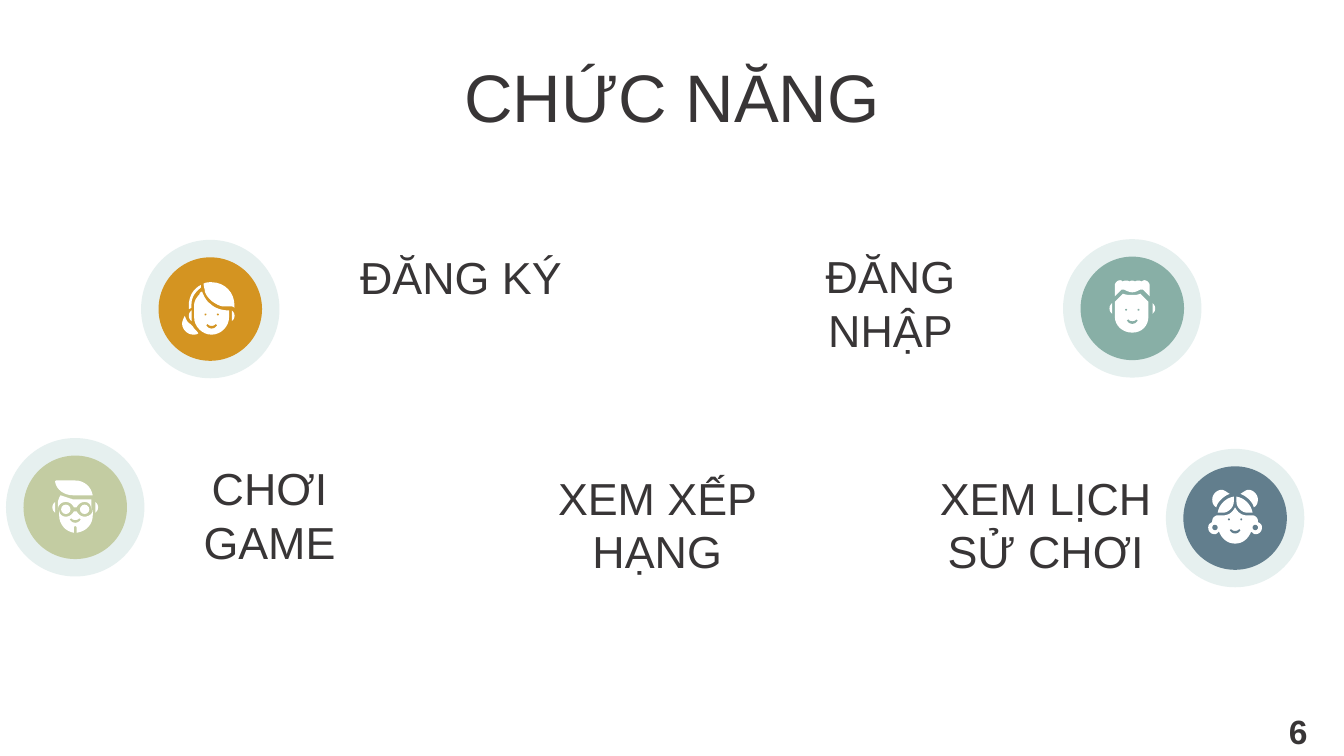
"""Build the slide of game functions with four round face icons."""
from pptx import Presentation
from pptx.dml.color import RGBColor
from pptx.enum.shapes import MSO_SHAPE as Preset
from pptx.enum.text import MSO_ANCHOR as Anchor, PP_ALIGN as Align
from pptx.util import Inches, Pt

INK = RGBColor(0x38, 0x35, 0x36)
WHITE = RGBColor(0xFF, 0xFF, 0xFF)
RING = RGBColor(0xE6, 0xF0, 0xEF)
ORANGE = RGBColor(0xD4, 0x94, 0x21)
GREEN = RGBColor(0x88, 0xAF, 0xA6)
OLIVE = RGBColor(0xC3, 0xCC, 0xA2)
BLUE = RGBColor(0x62, 0x7E, 0x8D)

RING_SIZE, DISC_SIZE = 103, 77
CURVE_STEPS = 8

TEXTS = [
    ("CHỨC NĂNG", (2.65, 0.31, 4.7, 0.69), 36, False),
    ("XEM LỊCH SỬ CHƠI", (6.76, 3.4, 2.04, 1.03), 24, False),
    ("ĐĂNG NHẬP", (5.63, 1.75, 1.99, 1.03), 24, False),
    ("ĐĂNG KÝ", (2.45, 1.76, 1.96, 1.03), 24, False),
    ("CHƠI GAME", (1.17, 3.33, 1.67, 1.17), 24, False),
    ("6", (9.36, 5.19, 0.6, 0.43), 18, True),
    ("XEM XẾP HẠNG", (3.87, 3.4, 2.04, 1.03), 24, False),
]


def mirror(path):
    return [tuple(-value if index % 2 == 0 else value for index, value in enumerate(step))
            for step in path]


def shift(path, right, down):
    return [tuple(value + (down if index % 2 else right) for index, value in enumerate(step))
            for step in path]


EAR = [(15, -4), (15, 4), (16, 3, 17, 2, 17, 0), (17, -2, 16, -3, 15, -4)]
EARS = [EAR, mirror(EAR)]
MOUTH = [(-4, 1), (-2, 4.3, 2, 4.3, 4, 1), (3, 0.2), (2, 2, -2, 2, -3, 0.2)]
BUN = [(10, -21), (8, -21, 6, -19, 4, -18), (9, -16, 13, -12, 14, -8),
       (16, -9, 17, -11, 17, -14), (17, -17, 14, -21, 10, -21)]
FRINGE = [(1, -16), (1, -12), (1, -8, 5, -4, 9, -4), (13, -4), (12, -10, 7, -15, 1, -16)]

WOMAN = [shift(ear, 1, 5) for ear in EARS] + [
    [(-19, 5), (-20, 7, -21, 9, -21, 11), (-21, 15, -17, 19, -13, 19),
     (-11, 19, -10, 19, -9, 18), (-10, 16, -12, 15, -13, 13), (-15, 11),
     (-17, 10, -18, 8, -19, 5)],
    [(-6, -13), (-7, -13, -8, -12, -8, -11), (-10, -9, -12, -6, -12, -3), (-12, 6),
     (-12, 13, -6, 19, 1, 19), (8, 19, 14, 13, 14, 6), (14, 1), (8, 1, 3, -1, 0, -4),
     (-3, -6, -5, -10, -6, -13)],
    [(1, -20), (-1, -20, -3, -20, -5, -19), (-5, -17, -4, -15, -4, -13),
     (-3, -10, -1, -8, 1, -6), (4, -4, 7, -2, 10, -2), (16, -2), (17, -2, 18, -1, 18, -1),
     (18, -3), (18, -12, 11, -20, 1, -20)],
    [(-7, -18), (-13, -15, -16, -9, -16, -3), (-16, 0), (-14, -1), (-14, -4),
     (-14, -9, -11, -13, -7, -16)],
]
MAN = EARS + [
    [(-13, -9), (-13, -17), (-13, -19, -11, -21, -9, -21), (-9, -21, -8, -21, -7, -20),
     (-6, -21, -3, -21, -2, -20), (-1, -21, 1, -21, 2, -20), (3, -21, 6, -21, 7, -20),
     (7, -20, 8, -21, 9, -21), (11, -21, 13, -19, 13, -17), (13, -9), (8, -14),
     (7, -14, 7, -14, 6, -14), (4, -13, 2, -12, 0, -12), (-2, -12, -4, -13, -6, -14),
     (-7, -14, -8, -14, -8, -14)],
    [(-7, -11), (-13, -5), (-13, 6), (-13, 13, -7, 18, 0, 18), (7, 18, 12, 13, 12, 6),
     (12, -5), (6, -11), (4, -10, 2, -10, 0, -10), (-2, -10, -5, -10, -7, -11)],
]
READER = EARS + [
    [(-14, -20), (-14, -20, -15, -20, -15, -19), (-14, -13, -8, -9, -2, -9), (13, -9),
     (12, -15, 7, -20, 0, -20)],
    [(-12, 2), (-12, 6), (-12, 13, -7, 18, -1, 19), (-1, 16), (-1, 15, -1, 14, 0, 14),
     (1, 14, 1, 15, 1, 16), (1, 19), (8, 18, 13, 13, 13, 6), (13, 2), (13, 5, 10, 7, 7, 7),
     (4, 7, 2, 5, 1, 3), (-1, 3), (-2, 5, -4, 7, -7, 7), (-10, 7, -12, 5, -12, 2)],
    [(-11, -9), (-12, -7, -13, -5, -13, -3), (-13, 2), (-13, -2, -10, -4, -7, -4),
     (-4, -4, -2, -2, -1, 0), (1, 0), (2, -2, 4, -4, 7, -4), (10, -4, 12, -2, 12, 2),
     (12, -6), (-2, -6), (-5, -7, -8, -8, -11, -9)],
]
GIRL = [BUN, mirror(BUN), FRINGE, mirror(FRINGE)] + [
    [(0, -8), (-2, -4, -5, -2, -9, -2), (-13, -2), (-15, -2, -17, 0, -17, 2), (-17, 3),
     (-19, 4, -20, 5, -20, 7), (-20, 10, -18, 12, -15, 12), (-14, 12, -13, 11, -12, 10),
     (-10, 15, -6, 19, 0, 19), (6, 19, 10, 15, 12, 10), (13, 11, 14, 12, 15, 12),
     (18, 12, 20, 10, 20, 7), (20, 5, 19, 4, 17, 3), (17, 2), (17, 0, 15, -2, 13, -2),
     (9, -2), (5, -2, 2, -4, 0, -8)],
]

EYES = [(-4.6, -7, 1.4, None), (4.6, -7, 1.4, None)]
EARRINGS = [(-15, -1, 4, None), (15, -1, 4, None)]
LENSES = [(-7, -6.5, 7, WHITE), (7, -6.5, 7, WHITE)]

ICONS = [
    ((156.5, 230), ORANGE, WOMAN, (1, 11), EYES),
    ((842.5, 229.5), GREEN, MAN, (0, 8), EYES),
    ((56, 377.5), OLIVE, READER, (0, 8), LENSES),
    ((919, 385.5), BLUE, GIRL, (0, 8), EYES + EARRINGS),
]


def paint(shape, color):
    shape.shadow.inherit = False
    shape.fill.solid()
    shape.fill.fore_color.rgb = color
    shape.line.fill.background()


def add_circle(page, center, size, color):
    left, top = (Inches((value - size / 2) / 100) for value in center)
    side = Inches(size / 100)
    paint(page.shapes.add_shape(Preset.OVAL, left, top, side, side), color)


def flatten(path):
    points = [path[0]]
    for step in path[1:]:
        if len(step) == 2:
            points.append(step)
            continue
        knots = [points[-1], step[:2], step[2:4], step[4:]]
        for index in range(1, CURVE_STEPS + 1):
            t = index / CURVE_STEPS
            weights = ((1 - t) ** 3, 3 * t * (1 - t) ** 2, 3 * t * t * (1 - t), t ** 3)
            points.append(tuple(sum(weight * knot[axis] for weight, knot in zip(weights, knots))
                                for axis in (0, 1)))
    return points


def add_outline(page, path, center, color):
    points = [(100 * x, 100 * y) for x, y in flatten(shift(path, *center))]
    builder = page.shapes.build_freeform(*points[0], scale=Inches(1) / 10000)
    builder.add_line_segments(points[1:], close=True)
    paint(builder.convert_to_shape(), color)


def add_icon(page, center, color, outlines, mouth, dots):
    add_circle(page, center, RING_SIZE, RING)
    add_circle(page, center, DISC_SIZE, color)
    for outline in outlines:
        add_outline(page, outline, center, WHITE)
    middle = (center[0] + mouth[0], center[1] + mouth[1])
    add_outline(page, MOUTH, middle, color)
    for right, down, size, dot_color in dots:
        add_circle(page, (middle[0] + right, middle[1] + down), size, dot_color or color)


def add_text(page, text, place, size, bold):
    frame = page.shapes.add_textbox(*map(Inches, place)).text_frame
    frame.word_wrap = True
    frame.vertical_anchor = Anchor.TOP
    frame.margin_left = frame.margin_right = Inches(0.1)
    frame.margin_top = frame.margin_bottom = Inches(0.1)
    para = frame.paragraphs[0]
    para.text = text
    para.alignment = Align.CENTER
    para.font.name, para.font.size, para.font.bold = "Arial", Pt(size), bold
    para.font.color.rgb = INK


def main():
    deck = Presentation()
    deck.slide_width = Inches(10)
    deck.slide_height = deck.slide_width * 9 // 16
    page = deck.slides.add_slide(deck.slide_layouts[6])
    for icon in ICONS:
        add_icon(page, *icon)
    for entry in TEXTS:
        add_text(page, *entry)
    deck.save("out.pptx")


if __name__ == "__main__":
    main()
